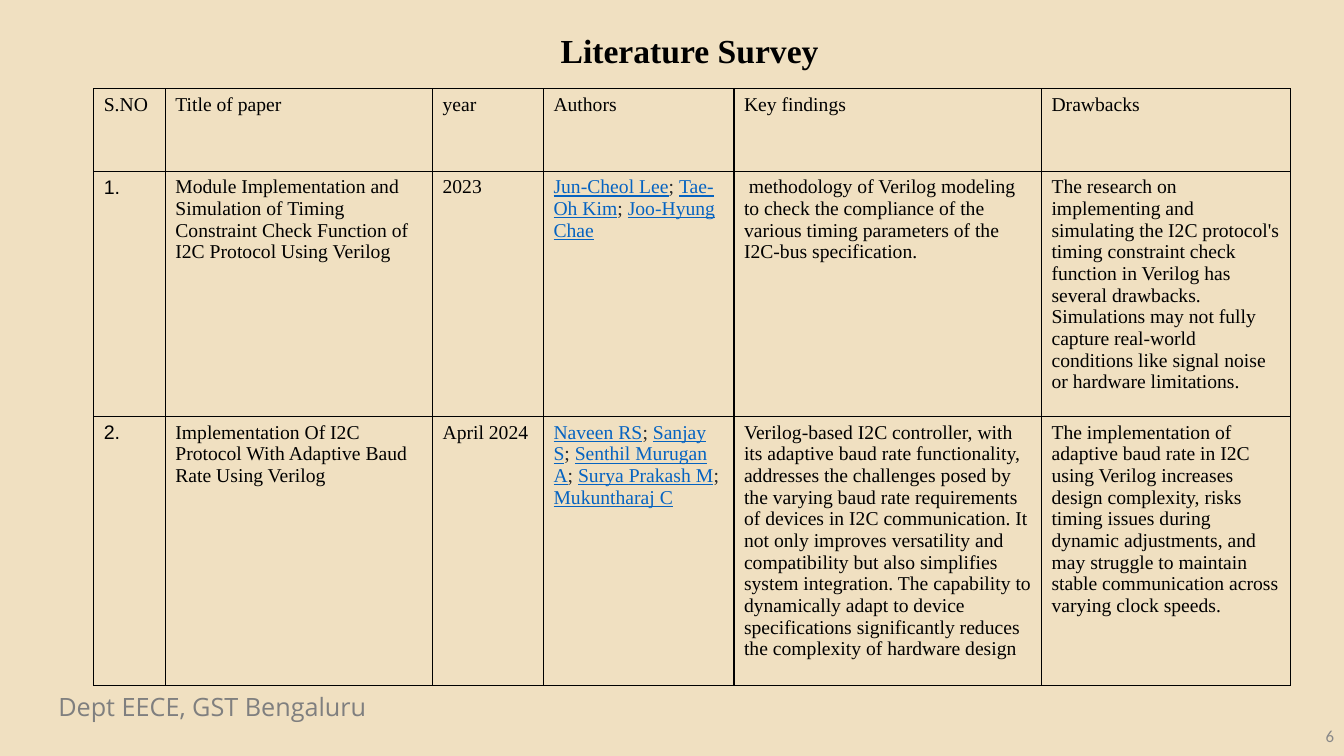
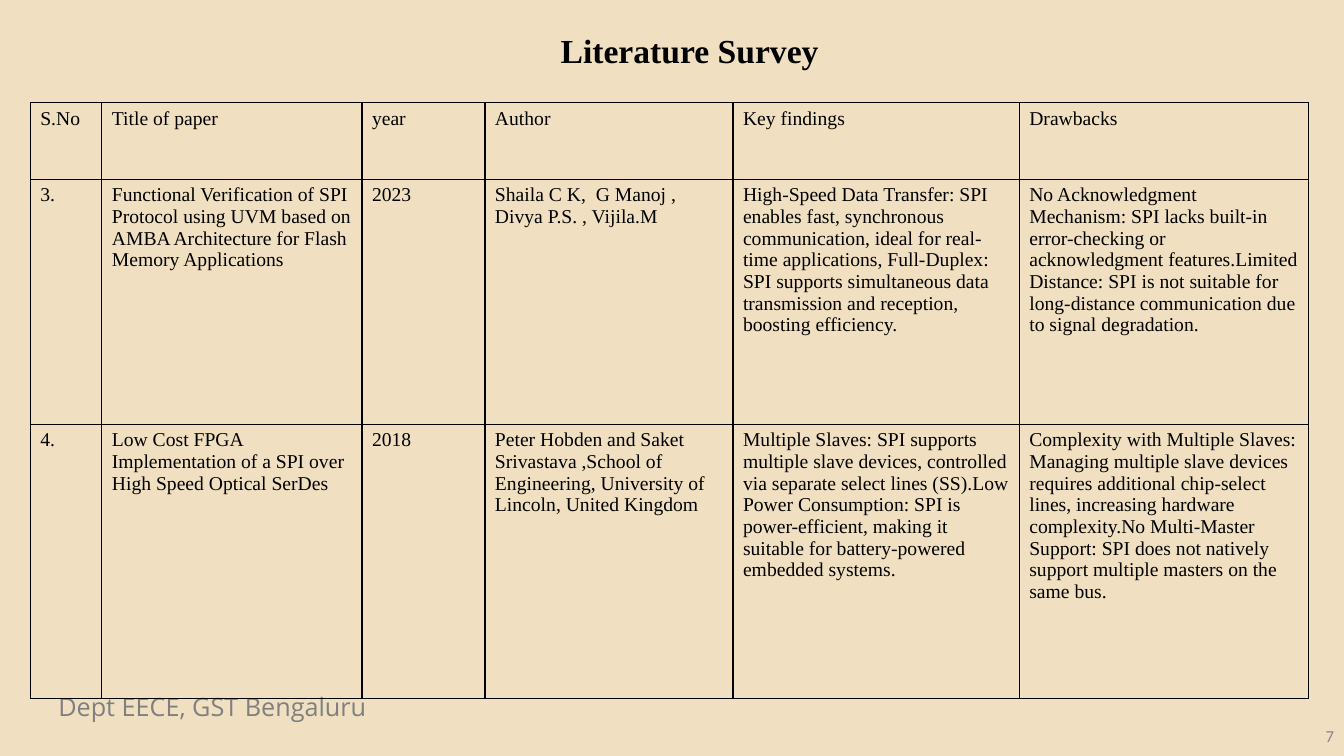
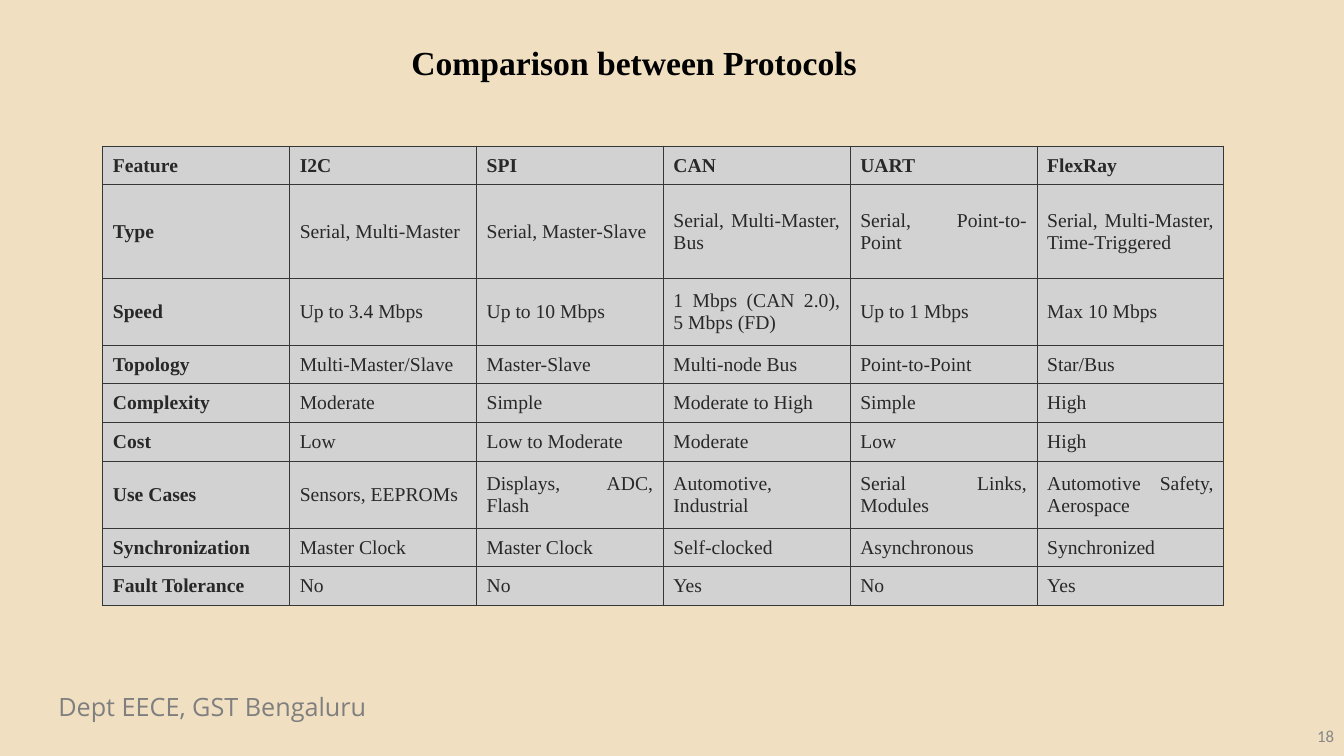
"""Build three slides of protocol survey and comparison tables."""
from lxml.etree import SubElement
from pptx import Presentation
from pptx.dml.color import RGBColor
from pptx.enum.text import MSO_ANCHOR, MSO_AUTO_SIZE, PP_ALIGN
from pptx.oxml.ns import qn
from pptx.util import Inches, Pt

COLORS = {
    "background": "F0E0C1",
    "black": "000000",
    "ink": "282828",
    "link": "0563C1",
    "footer": "7F7F7F",
    "number": "888888",
    "grid": "353735",
    "cell": "D2D2D2",
}
SERIF = "Times New Roman"
TITLE_ONLY = 5


def color(name):
    return RGBColor.from_string(COLORS[name])


class SurveyDeck:
    def __init__(self):
        self.deck = Presentation()
        self.deck.slide_width = Inches(13.33)
        self.deck.slide_height = Inches(7.5)
        fill = self.deck.slide_master.background.fill
        fill.solid()
        fill.fore_color.rgb = color("background")
        self.page = None

    def add_page(self, title, number, title_area):
        self.page = self.deck.slides.add_slide(self.deck.slide_layouts[TITLE_ONLY])
        self.add_text("Dept EECE, GST Bengaluru", (0.48, 6.81, 5.24, 0.4),
                      "footer", 18, "Open Sans")
        self.add_text(number, (10.33, 7.1, 3, 0.4), "number", 12, "Calibri",
                      PP_ALIGN.RIGHT, MSO_ANCHOR.MIDDLE)
        self.add_title(title, title_area)

    def add_title(self, text, area):
        box = self.page.shapes.title
        box.left, box.top, box.width, box.height = map(Inches, area)
        frame = box.text_frame
        frame.auto_size = MSO_AUTO_SIZE.NONE
        frame.vertical_anchor = MSO_ANCHOR.TOP
        para = frame.paragraphs[0]
        para.alignment = PP_ALIGN.CENTER
        self.add_span(para, text, "black", 24, bold=True)

    def add_text(self, text, area, ink, size, font,
                 align=PP_ALIGN.LEFT, anchor=MSO_ANCHOR.TOP):
        frame = self.page.shapes.add_textbox(*map(Inches, area)).text_frame
        frame.word_wrap = True
        frame.vertical_anchor = anchor
        para = frame.paragraphs[0]
        para.alignment = align
        self.add_span(para, text, ink, size, font)

    def add_span(self, para, text, ink, size=14, font=SERIF, bold=False, underline=False):
        span = para.add_run()
        span.text = text
        span.font.name = font
        span.font.size = Pt(size)
        span.font.bold = bold
        span.font.underline = underline
        span.font.color.rgb = color(ink)

    def add_grid(self, left, top, widths, heights):
        area = map(Inches, (left, top, sum(widths), sum(heights)))
        table = self.page.shapes.add_table(len(heights), len(widths), *area).table
        table.first_row = False
        table.horz_banding = False
        for column, width in zip(table.columns, widths):
            column.width = Inches(width)
        for row, height in zip(table.rows, heights):
            row.height = Inches(height)
        return table

    def add_borders(self, cell, line, points):
        properties = cell._tc.get_or_add_tcPr()
        for side in ("lnL", "lnR", "lnT", "lnB"):
            border = SubElement(properties, qn(f"a:{side}"), w=str(Pt(points)))
            fill = SubElement(border, qn("a:solidFill"))
            SubElement(fill, qn("a:srgbClr"), val=COLORS[line])

    def add_survey(self, left, top, widths, heights, records, number_font=SERIF):
        table = self.add_grid(left, top, widths, heights)
        for row, record in enumerate(records):
            for column, content in enumerate(record):
                cell = table.cell(row, column)
                self.add_borders(cell, "black", 1)
                cell.fill.background()
                font = number_font if row and column == 0 else SERIF
                if isinstance(content, list):
                    self.add_linked_names(cell.text_frame.paragraphs[0], content)
                else:
                    self.add_lines(cell.text_frame, content, font)

    def add_lines(self, frame, content, font):
        for index, line in enumerate(content.split("\n")):
            para = frame.add_paragraph() if index else frame.paragraphs[0]
            self.add_span(para, line, "black", font=font)

    def add_linked_names(self, para, names):
        for index, name in enumerate(names):
            if index:
                self.add_span(para, "; ", "ink")
            self.add_span(para, name, "link", underline=True)

    def add_comparison(self, left, top, widths, heights, records):
        table = self.add_grid(left, top, widths, heights)
        for row, record in enumerate(records):
            for column, content in enumerate(record):
                cell = table.cell(row, column)
                self.add_borders(cell, "grid", 0.75)
                cell.fill.solid()
                cell.fill.fore_color.rgb = color("cell")
                cell.vertical_anchor = MSO_ANCHOR.MIDDLE
                para = cell.text_frame.paragraphs[0]
                para.alignment = PP_ALIGN.JUSTIFY
                self.add_span(para, content, "ink", bold=row == 0 or column == 0)


I2C_PAPERS = [
    ("S.NO", "Title of paper", "year", "Authors", "Key findings", "Drawbacks"),
    ("1.",
     "Module Implementation and Simulation of Timing Constraint Check Function of "
     "I2C Protocol Using Verilog",
     "2023",
     ["Jun-Cheol Lee", "Tae-Oh Kim", "Joo-Hyung Chae"],
     " methodology of Verilog modeling to check the compliance of the various timing "
     "parameters of the I2C-bus specification.",
     "The research on implementing and simulating the I2C protocol's timing constraint "
     "check function in Verilog has several drawbacks. Simulations may not fully capture "
     "real-world conditions like signal noise or hardware limitations."),
    ("2.",
     "Implementation Of I2C Protocol With Adaptive Baud Rate Using Verilog",
     "April 2024",
     ["Naveen RS", "Sanjay S", "Senthil Murugan A", "Surya Prakash M", "Mukuntharaj C"],
     "Verilog-based I2C controller, with its adaptive baud rate functionality, addresses "
     "the challenges posed by the varying baud rate requirements of devices in I2C "
     "communication. It not only improves versatility and compatibility but also "
     "simplifies system integration. The capability to dynamically adapt to device "
     "specifications significantly reduces the complexity of hardware design",
     "The implementation of adaptive baud rate in I2C using Verilog increases design "
     "complexity, risks timing issues during dynamic adjustments, and may struggle to "
     "maintain stable communication across varying clock speeds."),
]
SPI_PAPERS = [
    ("S.No", "Title of paper", "year", "Author", "Key findings", "Drawbacks"),
    ("3.",
     "Functional Verification of SPI Protocol using UVM based on AMBA Architecture for "
     "Flash Memory Applications",
     "2023",
     "Shaila C K,  G Manoj ,\nDivya P.S. , Vijila.M",
     "High-Speed Data Transfer: SPI enables fast, synchronous communication, ideal for "
     "real-time applications, Full-Duplex: SPI supports simultaneous data transmission "
     "and reception, boosting efficiency.",
     "No Acknowledgment Mechanism: SPI lacks built-in error-checking or acknowledgment "
     "features.Limited Distance: SPI is not suitable for long-distance communication due "
     "to signal degradation."),
    ("4.",
     "Low Cost FPGA Implementation of a SPI over High Speed Optical SerDes",
     "2018",
     "Peter Hobden and Saket Srivastava ,School of Engineering, University of Lincoln, "
     "United Kingdom",
     "Multiple Slaves: SPI supports multiple slave devices, controlled via separate "
     "select lines (SS).Low Power Consumption: SPI is power-efficient, making it suitable "
     "for battery-powered embedded systems.",
     "Complexity with Multiple Slaves: Managing multiple slave devices requires additional "
     "chip-select lines, increasing hardware complexity.No Multi-Master Support: SPI does "
     "not natively support multiple masters on the same bus."),
]
PROTOCOLS = [
    ("Feature", "I2C", "SPI", "CAN", "UART", "FlexRay"),
    ("Type", "Serial, Multi-Master", "Serial, Master-Slave", "Serial, Multi-Master, Bus",
     "Serial, Point-to-Point", "Serial, Multi-Master, Time-Triggered"),
    ("Speed", "Up to 3.4 Mbps", "Up to 10 Mbps", "1 Mbps (CAN 2.0), 5 Mbps (FD)",
     "Up to 1 Mbps", "Max 10 Mbps"),
    ("Topology", "Multi-Master/Slave", "Master-Slave", "Multi-node Bus",
     "Point-to-Point", "Star/Bus"),
    ("Complexity", "Moderate", "Simple", "Moderate to High", "Simple", "High"),
    ("Cost", "Low", "Low to Moderate", "Moderate", "Low", "High"),
    ("Use Cases", "Sensors, EEPROMs", "Displays, ADC, Flash", "Automotive, Industrial",
     "Serial Links, Modules", "Automotive Safety, Aerospace"),
    ("Synchronization", "Master Clock", "Master Clock", "Self-clocked",
     "Asynchronous", "Synchronized"),
    ("Fault Tolerance", "No", "No", "Yes", "No", "Yes"),
]


def main():
    survey = SurveyDeck()
    survey_title = (1.09, 0.25, 11.5, 0.54)

    survey.add_page("Literature Survey", "6", survey_title)
    survey.add_survey(0.93, 0.88, (0.71, 2.65, 1.1, 1.89, 3.05, 2.47),
                      (0.82, 2.43, 2.67), I2C_PAPERS, "Arial")

    survey.add_page("Literature Survey", "7", survey_title)
    survey.add_survey(0.3, 1.02, (0.71, 2.58, 1.22, 2.46, 2.84, 2.87),
                      (0.76, 2.43, 2.72), SPI_PAPERS)

    survey.add_page("Comparison between Protocols", "18", (2.34, 0.37, 7.9, 0.5))
    short, medium, tall = 0.385, 0.66, 0.93
    survey.add_comparison(1.02, 1.45, [11.12 / 6] * 6,
                          (short, tall, medium, short, short, short, medium, short, short),
                          PROTOCOLS)

    survey.deck.save("out.pptx")


if __name__ == "__main__":
    main()
